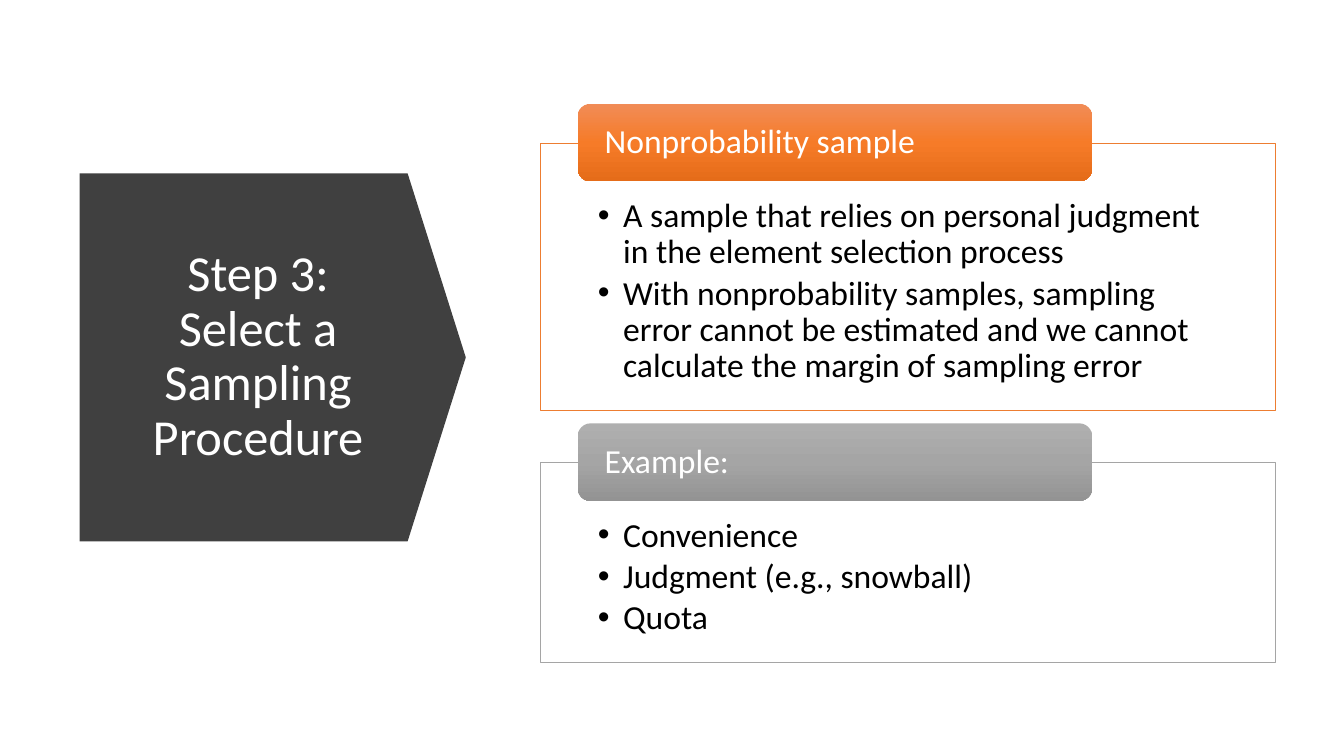
from copy import deepcopy

from lxml import etree
from pptx import Presentation
from pptx.dml.color import RGBColor
from pptx.enum import shapes, text
from pptx.oxml.ns import qn
from pptx.util import Inches, Pt

HUES = {
    "dark": "404040", "white": "FFFFFF", "black": "000000",
    "orange": "ED7D31", "gray": "A5A5A5",
}
FADES = {
    "orange": ("F18C57", "F67B28", "E56C19"),
    "gray": ("AFAFAF", "A5A5A5", "939393"),
}


def rgb(name):
    return RGBColor.from_string(HUES[name])


def place(shape, left, top, width, height):
    shape.left, shape.top = Inches(left), Inches(top)
    shape.width, shape.height = Inches(width), Inches(height)


def set_frame(frame, anchor, insets):
    frame.word_wrap = True
    frame.auto_size = text.MSO_AUTO_SIZE.NONE
    frame.vertical_anchor = anchor
    (frame.margin_left, frame.margin_top,
     frame.margin_right, frame.margin_bottom) = map(Inches, insets)


def style(para, size, hue, align=text.PP_ALIGN.LEFT, after=0):
    para.alignment = align
    para.line_spacing = 0.9
    para.space_before, para.space_after = Pt(0), Pt(after)
    para.font.size = Pt(size)
    para.font.name = "Calibri"
    para.font.color.rgb = rgb(hue)


def add_bullet(para):
    props = para._p.get_or_add_pPr()
    props.set("marL", str(Inches(0.25)))
    props.set("indent", str(-Inches(0.25)))
    etree.SubElement(props, qn("a:buChar")).set("char", "•")


def fade(shape, hues):
    """Fill from top to bottom with evenly spaced colours."""
    shape.fill.gradient()
    shape.fill.gradient_angle = 270
    first = shape._element.xpath(".//a:gs")[0]
    first.addnext(deepcopy(first))
    for i, (stop, hue) in enumerate(zip(shape.fill.gradient_stops, hues)):
        stop.position = i / (len(hues) - 1)
        stop.color.rgb = RGBColor.from_string(hue)


def add_step(slide, left, top, width, height, words):
    # Arrow, turned to point right and set behind the title
    arrow = slide.shapes.add_shape(shapes.MSO_SHAPE.DOWN_ARROW, 0, 0, 0, 0)
    place(arrow, left + (width - height) / 2, top + (height - width) / 2,
          height, width)
    arrow.rotation = 270
    arrow.adjustments[0], arrow.adjustments[1] = 1, 0.158
    arrow.shadow.inherit = False
    arrow.fill.solid()
    arrow.fill.fore_color.rgb = rgb("dark")
    arrow.line.fill.background()
    slide.shapes._spTree.insert(2, arrow._element)

    # Title
    title = slide.shapes.title
    place(title, left + 0.33, top + 0.43, 2.88, height - 0.86)
    set_frame(title.text_frame, text.MSO_ANCHOR.MIDDLE, (0.1, 0.05, 0.1, 0.05))
    title.text_frame.text = words
    style(title.text_frame.paragraphs[0], 36, "white", text.PP_ALIGN.CENTER)


def add_panel(slide, body, left, top, width, height, hue, head, items):
    # Outlined list
    place(body, left, top, width, height)
    body.fill.solid()
    body.fill.fore_color.rgb = rgb("white")
    body.line.color.rgb = rgb(hue)
    body.line.width = Pt(0.5)
    frame = body.text_frame
    set_frame(frame, text.MSO_ANCHOR.TOP, (0.57, 0.55, 0.57, 0.19))
    frame.text = "\n".join(items)
    for para in frame.paragraphs:
        add_bullet(para)
        style(para, 24, "black", after=3.6)

    # Heading tab across the top edge
    tab = slide.shapes.add_shape(shapes.MSO_SHAPE.ROUNDED_RECTANGLE, 0, 0, 0, 0)
    place(tab, left + 0.37, top - 0.39, width * 0.7, 0.77)
    tab.shadow.inherit = False
    tab.line.fill.background()
    fade(tab, FADES[hue])
    set_frame(tab.text_frame, text.MSO_ANCHOR.MIDDLE, (0.23, 0, 0.23, 0))
    tab.text_frame.text = head
    style(tab.text_frame.paragraphs[0], 24, "white")


def main():
    deck = Presentation()
    deck.slide_width, deck.slide_height = Inches(13.33), Inches(7.5)
    slide = deck.slides.add_slide(deck.slide_layouts.get_by_name("Two Content"))
    upper, lower = list(slide.placeholders)[1:]

    add_step(slide, 0.79, 1.72, 3.83, 3.65, "Step 3: Select a Sampling Procedure")
    add_panel(slide, upper, 5.36, 1.42, 7.29, 2.65, "orange",
              "Nonprobability sample", [
                  "A sample that relies on personal judgment in the element "
                  "selection process",
                  "With nonprobability samples, sampling error cannot be "
                  "estimated and we cannot calculate the margin of sampling error",
              ])
    add_panel(slide, lower, 5.36, 4.59, 7.29, 1.98, "gray", "Example:",
              ["Convenience", "Judgment (e.g., snowball)", "Quota"])
    deck.save("out.pptx")


if __name__ == "__main__":
    main()
